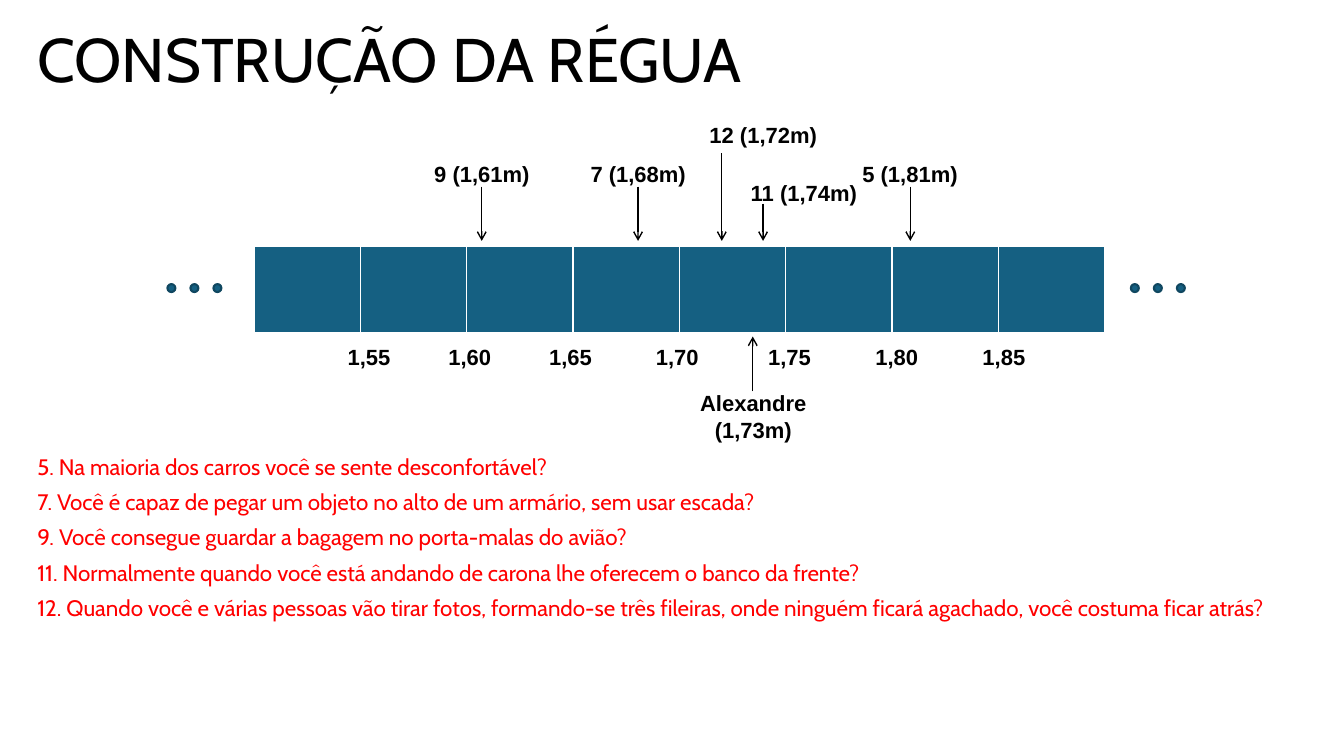
from dataclasses import dataclass

import pptx
import pptx.dml.color
import pptx.enum.shapes
import pptx.enum.text
import pptx.oxml
import pptx.oxml.ns
import pptx.util
from pptx.util import Cm, Pt

COLORS = {"black": "000000", "white": "FFFFFF", "red": "FF0000",
          "ruler": "156082", "dot_line": "104760"}
ALIGN = pptx.enum.text.PP_ALIGN
NAMESPACE = pptx.oxml.ns.nsdecls("a")


@dataclass
class Mark:
    """A labelled arrow on the ruler; lengths in centimetres."""
    text: str
    left: float
    top: float
    width: float
    arrow_x: float
    arrow_start: float
    arrow_end: float = 6.07
    height: float = 0.91
    alignment: ALIGN = ALIGN.CENTER


MARKS = [
    Mark("Alexandre\n(1,73m)", 17.37, 9.7, 3.23, 18.97, 9.86, 8.48, 1.6),
    Mark("11 (1,74m)", 18.67, 4.39, 3.23, 19.23, 5.13, alignment=ALIGN.LEFT),
    Mark("7 (1,68m)", 14.61, 3.91, 2.95, 16.08, 4.7),
    Mark("9 (1,61m)", 10.67, 3.91, 2.95, 12.14, 4.7),
    Mark("12 (1,72m)", 17.63, 2.95, 3.25, 18.19, 3.86, alignment=ALIGN.LEFT),
    Mark("5 (1,81m)", 21.46, 3.91, 2.95, 22.94, 4.7),
]
SCALE = ["1,55", "1,60", "1,65", "1,70", "1,75", "1,80", "1,85"]
SCALE_TABS = [2.54, 5.08, 7.77, 10.6, 13.3, 16]
QUESTIONS = [
    "5. Na maioria dos carros você se sente desconfortável?",
    "7. Você é capaz de pegar um objeto no alto de um armário, sem usar escada?",
    "9. Você consegue guardar a bagagem no porta-malas do avião?",
    "11. Normalmente quando você está andando de carona lhe oferecem o banco da frente?",
    "12. Quando você e várias pessoas vão tirar fotos, formando-se três fileiras, "
    "onde ninguém ficará agachado, você costuma ficar atrás?",
]
CELL_COUNT = 8
CELL_WIDTH = 2.68
DOT_GROUPS = [4.22, 28.5]
DOT_STEP = 0.58


def rgb(name: str) -> pptx.dml.color.RGBColor:
    return pptx.dml.color.RGBColor.from_string(COLORS[name])


def style(paragraph, font: str, size: float, color: str, bold: bool = False) -> None:
    paragraph.font.name = font
    paragraph.font.size = Pt(size)
    paragraph.font.bold = bold
    paragraph.font.color.rgb = rgb(color)


def add_text(slide, text: str, left: float, top: float, width: float, height: float,
             wrap: bool = False):
    text_box = slide.shapes.add_textbox(Cm(left), Cm(top), Cm(width), Cm(height))
    text_box.text_frame.word_wrap = wrap
    text_box.text_frame.text = text
    return text_box.text_frame


def add_title(slide) -> None:
    title = slide.shapes.title
    title.left, title.top, title.width, title.height = Cm(0.69), Cm(0.56), Cm(32.51), Cm(2.01)
    frame = title.text_frame
    frame.text = "CONSTRUÇÃO DA RÉGUA"
    frame.auto_size = pptx.enum.text.MSO_AUTO_SIZE.NONE
    frame.vertical_anchor = pptx.enum.text.MSO_ANCHOR.MIDDLE
    paragraph = frame.paragraphs[0]
    paragraph.alignment = ALIGN.LEFT
    paragraph.line_spacing = 0.9
    style(paragraph, "Cabin", 44, "black")


def add_ruler(slide) -> None:
    frame = slide.shapes.add_table(1, CELL_COUNT, Cm(6.4), Cm(6.2),
                                   Cm(CELL_COUNT * CELL_WIDTH), Cm(2.21))
    table = frame.table
    table.first_row = False
    table.horz_banding = False
    for column in table.columns:
        column.width = Cm(CELL_WIDTH)
    for cell in table.iter_cells():
        cell.fill.solid()
        cell.fill.fore_color.rgb = rgb("ruler")
        borders = {"lnL": 1, "lnR": 1, "lnT": 1, "lnB": 3}
        properties = cell._tc.get_or_add_tcPr()
        for index, (side, points) in enumerate(borders.items()):
            properties.insert(index, pptx.oxml.parse_xml(
                f'<a:{side} {NAMESPACE} w="{Pt(points)}"><a:solidFill>'
                f'<a:srgbClr val="{COLORS["white"]}"/></a:solidFill></a:{side}>'))


def add_dots(slide, left: float) -> None:
    for index in range(3):
        dot = slide.shapes.add_shape(pptx.enum.shapes.MSO_SHAPE.OVAL,
                                     Cm(left + index * DOT_STEP), Cm(7.16), Cm(0.2), Cm(0.2))
        dot.shadow.inherit = False
        dot.fill.solid()
        dot.fill.fore_color.rgb = rgb("ruler")
        dot.line.color.rgb = rgb("dot_line")
        dot.line.width = Pt(1.5)


def add_scale(slide) -> None:
    frame = add_text(slide, "\t".join(SCALE), 8.51, 8.53, 17.63, 0.91, wrap=True)
    paragraph = frame.paragraphs[0]
    style(paragraph, "Arial", 15.7, "black", bold=True)
    stops = "".join(f'<a:tab pos="{Cm(stop)}" algn="l"/>' for stop in SCALE_TABS)
    paragraph._p.get_or_add_pPr().insert(
        0, pptx.oxml.parse_xml(f"<a:tabLst {NAMESPACE}>{stops}</a:tabLst>"))


def add_mark(slide, mark: Mark) -> None:
    frame = add_text(slide, mark.text, mark.left, mark.top, mark.width, mark.height)
    for paragraph in frame.paragraphs:
        paragraph.alignment = mark.alignment
        style(paragraph, "Arial", 15.7, "black", bold=True)
    arrow = slide.shapes.add_connector(
        pptx.enum.shapes.MSO_CONNECTOR.STRAIGHT, Cm(mark.arrow_x), Cm(mark.arrow_start),
        Cm(mark.arrow_x), Cm(mark.arrow_end))
    arrow.line.color.rgb = rgb("black")
    arrow.line.width = Pt(1)
    properties = arrow.element.spPr
    line = properties.find(pptx.oxml.ns.qn("a:ln"))
    line.append(pptx.oxml.parse_xml(f'<a:tailEnd {NAMESPACE} type="arrow"/>'))
    properties.append(pptx.oxml.parse_xml(f"<a:effectLst {NAMESPACE}/>"))


def add_questions(slide) -> None:
    frame = add_text(slide, "\n".join(QUESTIONS), 0.69, 11.3, 31.57, 4.6, wrap=True)
    for paragraph in frame.paragraphs:
        paragraph.alignment = ALIGN.JUSTIFY
        paragraph.space_before = Pt(5.9)
        style(paragraph, "Cabin", 16, "red")


def main() -> None:
    presentation = pptx.Presentation()
    presentation.slide_width, presentation.slide_height = Cm(33.87), Cm(19.05)
    slide = presentation.slides.add_slide(presentation.slide_layouts.get_by_name("Title Only"))

    # Title
    add_title(slide)

    # Ruler with its continuation dots and scale
    add_ruler(slide)
    for left in DOT_GROUPS:
        add_dots(slide, left)
    add_scale(slide)

    # Heights marked on the ruler
    for mark in MARKS:
        add_mark(slide, mark)

    # Questions behind the marks
    add_questions(slide)

    presentation.save("out.pptx")


if __name__ == "__main__":
    main()
